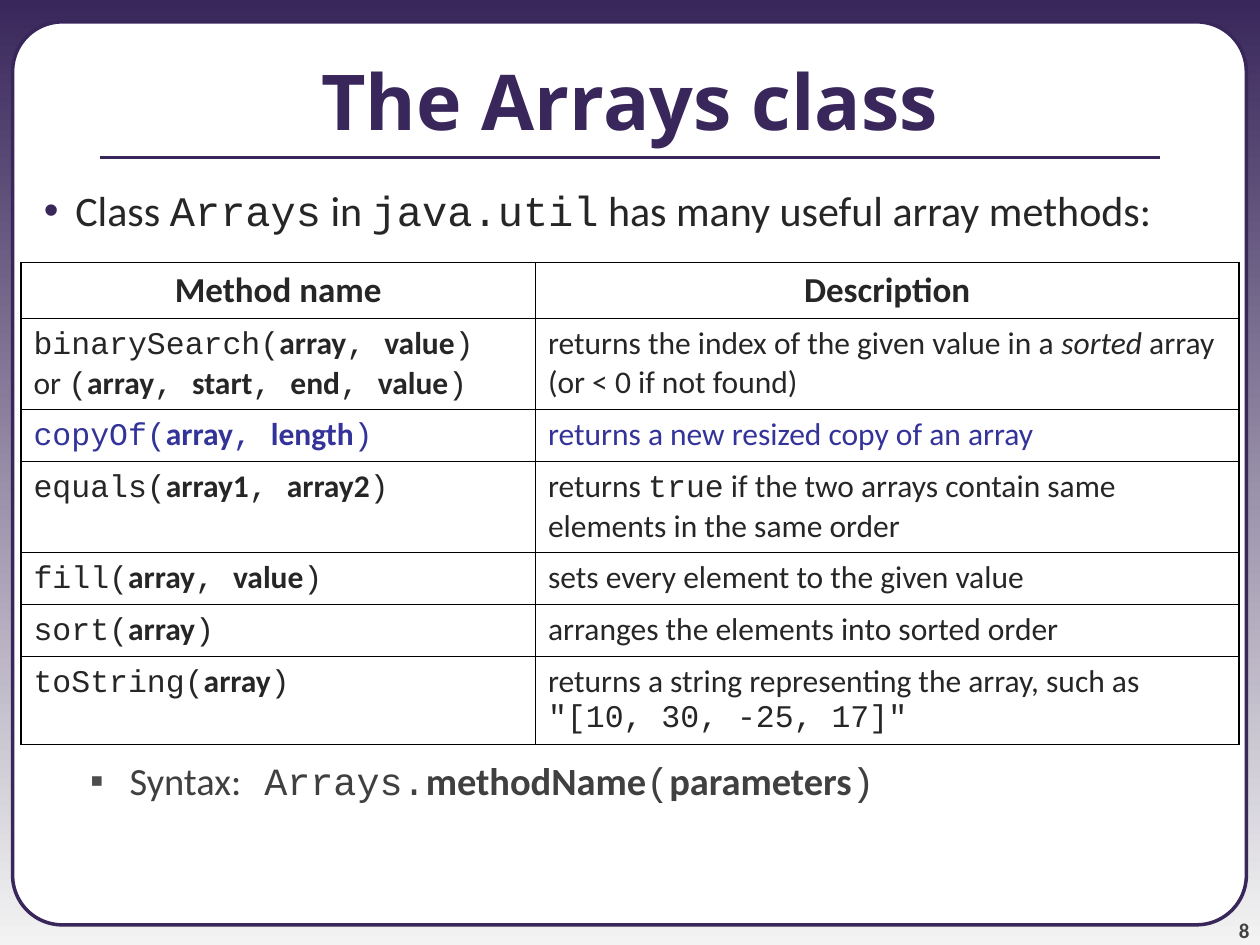
from lxml import etree
from pptx import Presentation
from pptx.dml import color as dml
from pptx.enum import shapes, text
from pptx.oxml import ns
from pptx.util import Pt

HUES = {"plum": "39275B", "mist": "F3F3F3", "white": "FFFFFF", "black": "000000",
        "ink": "262626", "gray": "404040", "page": "424242", "dot": "4D4D4D",
        "blue": "333399"}
BODY, CODE, HEAD = "Calibri", "Courier New", "Open Sans"
LEFT, MID, RIGHT = text.PP_ALIGN.LEFT, text.PP_ALIGN.CENTER, text.PP_ALIGN.RIGHT
THIN, THICK = 0.45, 1.08


def hue(name):
    return dml.RGBColor.from_string(HUES[name])


def child(node, tag, **attrs):
    return etree.SubElement(node, ns.qn(tag), {k: str(v) for k, v in attrs.items()})


def plain(words):
    return [("text", words)]


def call(name, *args):
    runs = [("code", name + "(")]
    for i, arg in enumerate(args):
        if i:
            runs.append(("code", ", "))
        runs.append(("bold", arg))
    return runs + [("code", ")")]


def write(para, runs, size, tint, align=LEFT, bold=False):
    para.alignment = align
    para.font.size = Pt(size)
    para.font.color.rgb = hue(tint)
    for kind, words in runs:
        if kind == "break":
            para.add_line_break()
            continue
        run = para.add_run()
        run.text = words
        run.font.name = CODE if kind == "code" else BODY
        run.font.bold = bold or kind == "bold"
        run.font.italic = kind == "slant"


def add_box(slide, box):
    frame = slide.shapes.add_textbox(*map(Pt, box)).text_frame
    frame.word_wrap = True
    return frame


def add_card(slide, box):
    card = slide.shapes.add_shape(shapes.MSO_SHAPE.ROUNDED_RECTANGLE, *map(Pt, box))
    card.adjustments[0] = 0.055
    card.shadow.inherit = False
    card.fill.solid()
    card.fill.fore_color.rgb = hue("white")
    card.line.color.rgb = hue("plum")
    card.line.width = Pt(2)
    slide.shapes.title.element.addprevious(card.element)


def add_title(slide, box, words):
    x, y, wide, high = box
    title = slide.shapes.title
    title.left, title.top, title.width, title.height = map(Pt, box)
    frame = title.text_frame
    frame.text = words
    frame.vertical_anchor = text.MSO_ANCHOR.MIDDLE
    para = frame.paragraphs[0]
    para.alignment = MID
    para.font.name, para.font.size, para.font.bold = HEAD, Pt(44), True
    para.font.color.rgb = hue("plum")
    inset, level = 57, y + high - 12
    rule = slide.shapes.add_connector(
        shapes.MSO_CONNECTOR.STRAIGHT,
        Pt(x + inset), Pt(level), Pt(x + wide - inset), Pt(level))
    rule.line.color.rgb = hue("plum")
    rule.line.width = Pt(2.25)
    child(rule.element.spPr, "a:effectLst")


def add_point(slide, box, runs, size, tint, mark, dot, left, hang, tab=None):
    para = add_box(slide, box).paragraphs[0]
    props = para._p.get_or_add_pPr()
    props.set("marL", str(Pt(left)))
    props.set("indent", str(-Pt(hang)))
    child(child(props, "a:buClr"), "a:srgbClr", val=HUES[dot])
    child(props, "a:buFont", typeface="Arial")
    child(props, "a:buChar", char=mark)
    if tab:
        child(child(props, "a:tabLst"), "a:tab", pos=Pt(tab), algn="l")
    write(para, runs, size, tint)


def edge(cell, widths):
    props = cell._tc.get_or_add_tcPr()
    for side, width in zip("LRTB", widths):
        line = child(props, "a:ln" + side, w=Pt(width))
        child(child(line, "a:solidFill"), "a:srgbClr", val=HUES["black"])


def add_grid(slide, box, cols, highs, rows):
    grid = slide.shapes.add_table(len(rows), len(cols), *map(Pt, box)).table
    grid.first_row = grid.horz_banding = False
    for col, wide in zip(grid.columns, cols):
        col.width = Pt(wide)
    for r, (tint, *cells) in enumerate(rows):
        grid.rows[r].height = Pt(highs[r])
        for c, runs in enumerate(cells):
            cell = grid.cell(r, c)
            outer = (c == 0, c == len(cols) - 1, r == 0, r == len(rows) - 1)
            edge(cell, [THICK if out else THIN for out in outer])
            cell.fill.solid()
            cell.fill.fore_color.rgb = hue("white")
            top = r == 0
            write(cell.text_frame.paragraphs[0], runs, 20 if top else 18, tint,
                  MID if top else LEFT, top)


def add_page(slide, box, num):
    frame = add_box(slide, box)
    frame.margin_left = frame.margin_right = frame.margin_top = frame.margin_bottom = 0
    frame.vertical_anchor = text.MSO_ANCHOR.BOTTOM
    write(frame.paragraphs[0], plain(num), 12, "page", RIGHT, True)


ROWS = [
    ("ink", plain("Method name"), plain("Description")),
    ("ink",
     call("binarySearch", "array", "value") + [("break", ""), ("text", "or ")]
     + call("", "array", "start", "end", "value"),
     [("text", "returns the index of the given value in a "), ("slant", "sorted"),
      ("text", " array (or < 0 if not found)")]),
    ("blue", call("copyOf", "array", "length"),
     plain("returns a new resized copy of an array")),
    ("ink", call("equals", "array1", "array2"),
     [("text", "returns "), ("code", "true"),
      ("text", " if the two arrays contain same elements in the same order")]),
    ("ink", call("fill", "array", "value"),
     plain("sets every element to the given value")),
    ("ink", call("sort", "array"), plain("arranges the elements into sorted order")),
    ("ink", call("toString", "array"),
     [("text", "returns a string representing the array, such as "),
      ("code", '"[10, 30, -25, 17]"')]),
]


def main():
    deck = Presentation()
    deck.slide_width, deck.slide_height = Pt(720), Pt(540)
    slide = deck.slides.add_slide(deck.slide_layouts[5])
    back = slide.background.fill
    back.gradient()
    back.gradient_angle = 270
    for stop, name in zip(back.gradient_stops, ("plum", "mist")):
        stop.color.rgb = hue(name)
    add_card(slide, (7.2, 12.5, 705, 516))
    add_page(slide, (654, 510, 60, 28.8), "8")
    add_title(slide, (0, 12, 720, 90), "The Arrays class")
    add_point(slide, (0, 102, 720, 40),
              [("text", "Class "), ("code", "Arrays"), ("text", " in "),
               ("code", "java.util"), ("text", " has many useful array methods:")],
              24, "ink", "•", "plum", 36, 18)
    add_grid(slide, (12, 150, 696, 276), (294, 402),
             (32, 52, 29.7, 52, 29.7, 29.7, 50.4), ROWS)
    add_point(slide, (0, 429, 720, 36),
              [("text", "Syntax:\t"), ("code", "Arrays.")]
              + [("bold", "methodName")] + call("", "parameters"),
              22, "gray", "▪", "dot", 67, 22.5, 144)
    deck.save("out.pptx")


if __name__ == "__main__":
    main()
